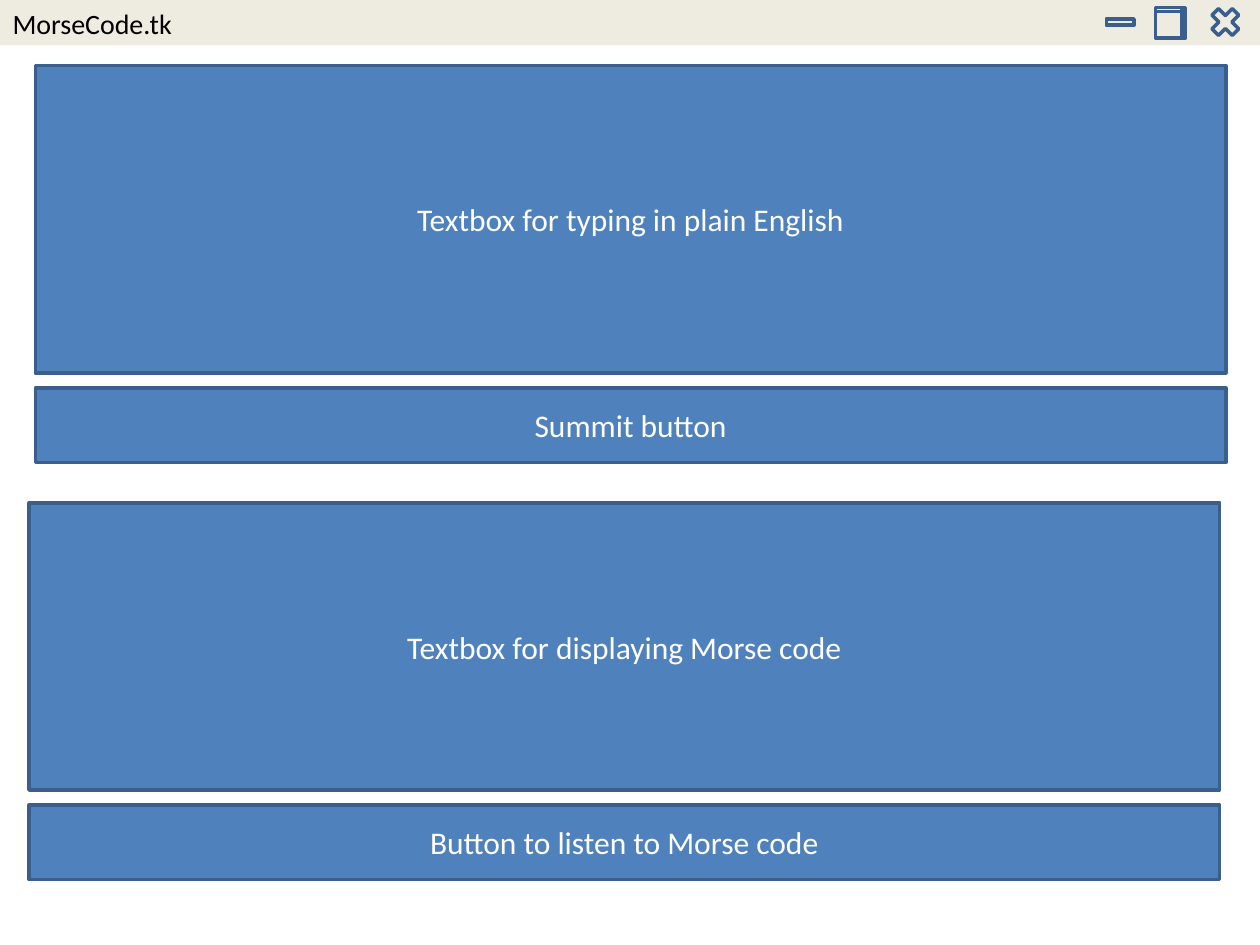
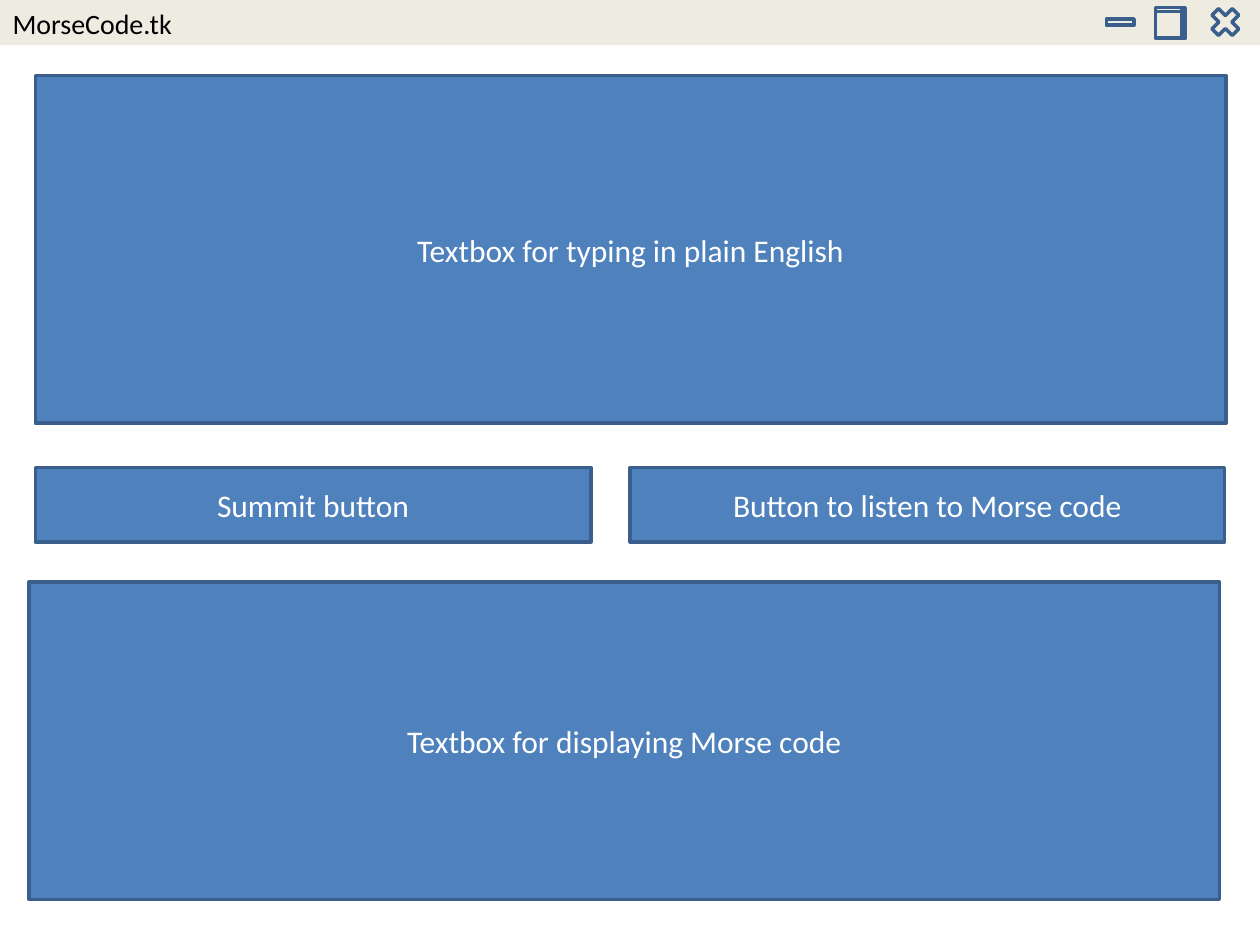
from pptx import Presentation
from pptx.dml.color import RGBColor
from pptx.enum.shapes import MSO_SHAPE as Shape
from pptx.enum.text import MSO_ANCHOR as Anchor, MSO_AUTO_SIZE as AutoSize, PP_ALIGN as Align
from pptx.util import Inches, Pt

BLUE = RGBColor(0x4F, 0x81, 0xBD)
OUTLINE = RGBColor(0x3A, 0x5F, 0x8C)
BAR = RGBColor(0xEE, 0xEC, 0xE1)
BLACK = RGBColor(0x00, 0x00, 0x00)
WHITE = RGBColor(0xFF, 0xFF, 0xFF)

PAGE_WIDTH = 10
BAR_HEIGHT = 0.36
INPUT_LEFT = 0.28
OUTPUT_LEFT = 0.23
FULL_WIDTH = 9.45
BUTTON_HEIGHT = 0.59
BUTTON_ROW = 3.71

TYPING = "Textbox for typing in plain English"
DISPLAY = "Textbox for displaying Morse code"
LISTEN = "Button to listen to Morse code"
SUBMIT = "Summit button"

WINDOW_ICONS = [
    (Shape.MATH_MULTIPLY, (9.57, 0.02, 0.31, 0.31)),
    (Shape.FLOWCHART_INTERNAL_STORAGE, (9.17, 0.06, 0.24, 0.24)),
    (Shape.RECTANGLE, (8.78, 0.15, 0.22, 0.05)),
]

STACKED_LAYOUT = [
    (TYPING, (INPUT_LEFT, 0.52, FULL_WIDTH, 2.44)),
    (DISPLAY, (OUTPUT_LEFT, 3.99, FULL_WIDTH, 2.28)),
    (LISTEN, (OUTPUT_LEFT, 6.39, FULL_WIDTH, BUTTON_HEIGHT)),
    (SUBMIT, (INPUT_LEFT, 3.08, FULL_WIDTH, BUTTON_HEIGHT)),
]
SIDE_BY_SIDE_LAYOUT = [
    (TYPING, (INPUT_LEFT, 0.6, FULL_WIDTH, 2.76)),
    (DISPLAY, (OUTPUT_LEFT, 4.62, FULL_WIDTH, 2.52)),
    (LISTEN, (5, BUTTON_ROW, 4.72, BUTTON_HEIGHT)),
    (SUBMIT, (INPUT_LEFT, BUTTON_ROW, 4.41, BUTTON_HEIGHT)),
]


def add_box(page, kind, place, fill=None, line=OUTLINE):
    box = page.shapes.add_shape(kind, *map(Inches, place))
    box.shadow.inherit = False
    if fill is None:
        box.fill.background()
    else:
        box.fill.solid()
        box.fill.fore_color.rgb = fill
    if line is None:
        box.line.fill.background()
    else:
        box.line.color.rgb = line
        box.line.width = Pt(2)
    return box


def write_text(box, text, size=18, color=WHITE, align=Align.CENTER, anchor=Anchor.MIDDLE):
    frame = box.text_frame
    frame.word_wrap = True
    frame.vertical_anchor = anchor
    para = frame.paragraphs[0]
    para.alignment = align
    span = para.add_run()
    span.text = text
    span.font.name = "Calibri"
    span.font.size = Pt(size)
    span.font.color.rgb = color


deck = Presentation()
deck.slide_width = Inches(PAGE_WIDTH)
deck.slide_height = Inches(7.5)

for layout in (STACKED_LAYOUT, SIDE_BY_SIDE_LAYOUT):
    page = deck.slides.add_slide(deck.slide_layouts[5])

    bar = add_box(page, Shape.RECTANGLE, (0, 0, PAGE_WIDTH, BAR_HEIGHT), fill=BAR, line=None)
    for kind, place in WINDOW_ICONS:
        icon = add_box(page, kind, place)
        if kind == Shape.FLOWCHART_INTERNAL_STORAGE:
            icon.element.spPr.xfrm.set("flipH", "1")

    title = page.shapes.title
    title.left, title.top, title.width, title.height = map(Inches, (0, 0, 3.5, 0.37))
    title.text_frame.auto_size = AutoSize.SHAPE_TO_FIT_TEXT
    write_text(title, "MorseCode.tk", size=16, color=BLACK, align=Align.LEFT, anchor=Anchor.TOP)
    icon.element.addnext(title.element)

    for text, place in layout:
        write_text(add_box(page, Shape.RECTANGLE, place, fill=BLUE), text)

deck.save("out.pptx")
